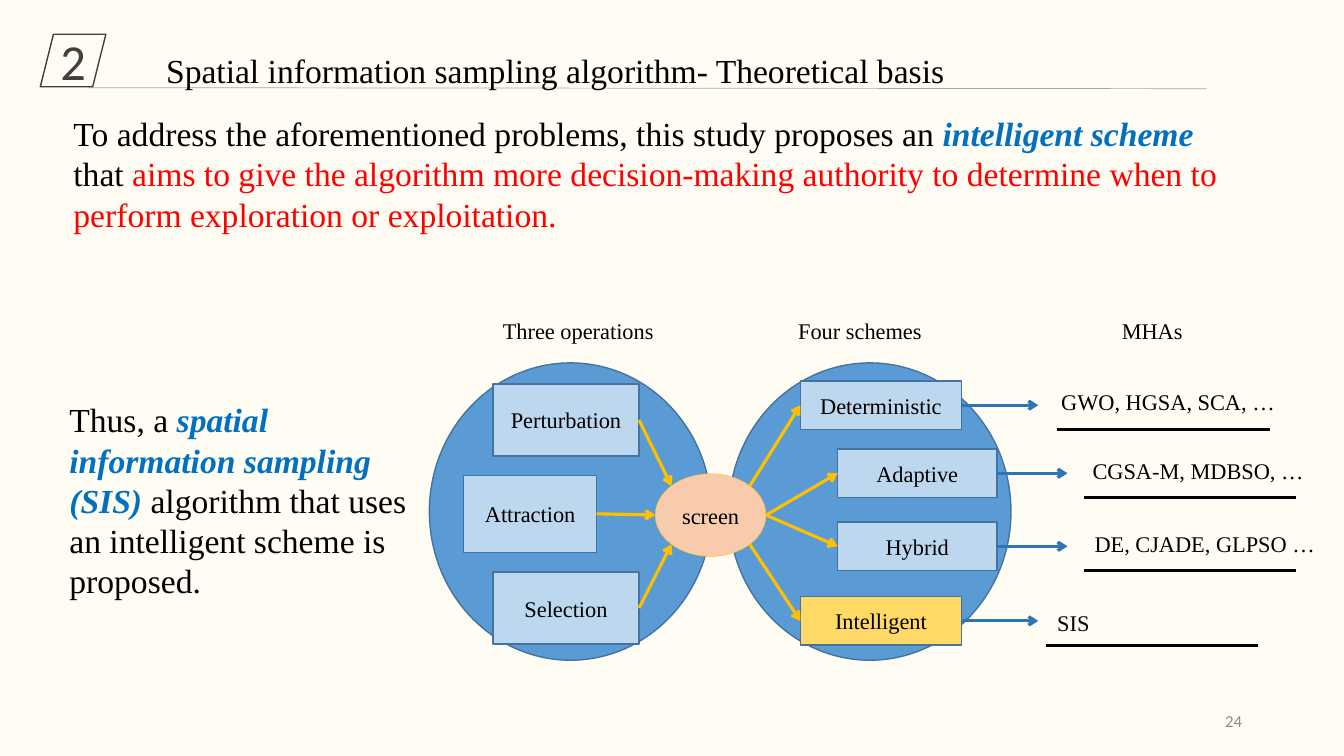
"""Build the slide on the theoretical basis of the spatial information sampling algorithm."""
from math import sqrt

from lxml.etree import SubElement
from pptx import Presentation
from pptx.dml.color import RGBColor
from pptx.enum.shapes import MSO_CONNECTOR, MSO_SHAPE
from pptx.enum.text import MSO_ANCHOR, PP_ALIGN
from pptx.oxml.ns import qn
from pptx.util import Inches, Pt

COLORS = {
    "page": "FFFCF4", "text": "000000", "term": "0070C0", "goal": "FF0000",
    "circle": "5B9BD5", "outline": "43739E", "box": "BDD7EE", "chosen": "FFD966",
    "screen": "F8CBAD", "flow": "FFC000", "result": "2E75B6",
    "badge": "404040", "rule": "A6A6A6", "number": "8C8C8C",
}
RGB = {role: RGBColor.from_string(code) for role, code in COLORS.items()}
SERIF, SANS = "Times New Roman", "Calibri"
CELL = Inches(0.1)
COLUMNS, ROWS = 133.33, 75

deck = Presentation()
deck.slide_width, deck.slide_height = int(COLUMNS * CELL), ROWS * CELL
slide = deck.slides.add_slide(deck.slide_layouts[6])
slide.background.fill.solid()
slide.background.fill.fore_color.rgb = RGB["page"]


def add_block(area, runs, kind=None, fill=None, outline="outline", weight=1,
              size=16, font=SERIF, color="text", wrap=True):
    """Add a shape, or a text box when kind is None; area is in grid cells."""
    place = [int(length * CELL) for length in area]
    if kind is None:
        block = slide.shapes.add_textbox(*place)
    else:
        block = slide.shapes.add_shape(kind, *place)
        block.shadow.inherit = False
        block.line.color.rgb = RGB[outline]
        block.line.width = Pt(weight)
        if fill:
            block.fill.solid()
            block.fill.fore_color.rgb = RGB[fill]
        else:
            block.fill.background()
    frame = block.text_frame
    frame.word_wrap = wrap
    frame.vertical_anchor = MSO_ANCHOR.TOP if kind is None else MSO_ANCHOR.MIDDLE
    paragraph = frame.paragraphs[0]
    paragraph.alignment = PP_ALIGN.LEFT if kind is None else PP_ALIGN.CENTER
    paragraph.font.size, paragraph.font.name = Pt(size), font
    paragraph.font.color.rgb = RGB[color]
    for wording, tone in runs:
        run = paragraph.add_run()
        run.text = wording
        if tone:
            run.font.color.rgb = RGB[tone]
        if tone == "term":
            run.font.bold = run.font.italic = True
    return block


def add_line(start, end, color, weight=2.25, arrow=False):
    """Add a straight line between two grid points."""
    points = [int(length * CELL) for length in (*start, *end)]
    line = slide.shapes.add_connector(MSO_CONNECTOR.STRAIGHT, *points)
    line.line.color.rgb = RGB[color]
    line.line.width = Pt(weight)
    if arrow:
        SubElement(line.line._get_or_add_ln(), qn("a:tailEnd"), type="arrow")
    SubElement(line._element.spPr, qn("a:effectLst"))
    return line


page_number = add_block((94.2, 69.5, 30, 4), [("24", None)], size=12, font=SANS, color="number")
page_number.text_frame.vertical_anchor = MSO_ANCHOR.MIDDLE
page_number.text_frame.paragraphs[0].alignment = PP_ALIGN.RIGHT

add_line((8.8, 8.7), (119.7, 8.8), "rule", weight=0.5)
section_badge = add_block((4, 3.4, 6.5, 5.2), [("2", None)], MSO_SHAPE.PARALLELOGRAM,
                          outline="badge", size=36, font=SANS, color="badge")
section_badge.text_frame.margin_left = section_badge.text_frame.margin_right = 0
title = add_block((15.5, 2.5, 100.6, 7.1),
                  [("Spatial information sampling algorithm- Theoretical basis", None)], size=24)
title.text_frame.paragraphs[0].line_spacing = 1.5

add_block((6.3, 10.7, 117.8, 13.1), [
    ("To address the aforementioned problems, this study proposes an ", None),
    ("intelligent scheme ", "term"),
    ("that ", None),
    ("aims to give the algorithm more decision-making authority to determine when to "
     "perform exploration or exploitation.", "goal"),
], size=24)
add_block((5.9, 39.1, 36, 21.2), [
    ("Thus, a ", None),
    ("spatial information sampling (SIS) ", "term"),
    ("algorithm that uses an intelligent scheme is proposed.", None),
], size=24)

for heading, left, width in [("Three operations", 48.9, 17.2), ("Four schemes", 78.2, 14.4),
                             ("MHAs", 110.3, 8.1)]:
    add_block((left, 31, width, 3.7), [(heading, None)], wrap=False)

for circle_left in (72.3, 42.6):
    add_block((circle_left, 36, 28, 29.5), [], MSO_SHAPE.OVAL, "circle")

screen_left, screen_top, screen_width, screen_height = screen_area = (65, 47, 11, 8.2)
add_block(screen_area, [("screen", None)], MSO_SHAPE.OVAL, "screen", "flow", 0.25)
center_x, center_y = screen_left + screen_width / 2, screen_top + screen_height / 2
diagonal_x, diagonal_y = screen_width / sqrt(8), screen_height / sqrt(8)

operations = [
    ("Perturbation", (48.9, 38.1, 14.5, 7.15), (center_x - diagonal_x, center_y - diagonal_y)),
    ("Attraction", (46, 47.15, 13.2, 7.65), (screen_left, center_y)),
    ("Selection", (48.9, 56.75, 14.5, 7.15), (center_x - diagonal_x, center_y + diagonal_y)),
]
for operation, area, entry in operations:
    operation_box = add_block(area, [(operation, None)], MSO_SHAPE.RECTANGLE, "box")
    add_line(entry, entry, "flow", arrow=True).begin_connect(operation_box, 3)

outer, inner = (79.4, 16, 103), (83.1, 15.8, 105.9)
upper_exit = (center_x + diagonal_x, center_y - diagonal_y)
lower_exit = (center_x + diagonal_x, center_y + diagonal_y)
side_exit = (screen_left + screen_width, center_y)
schemes = [
    ("Deterministic", 37.8, outer, "box", upper_exit, "GWO, HGSA, SCA, …", 104.3, 38, 23.4, 104.9),
    ("Adaptive", 44.55, inner, "box", side_exit, "CGSA-M, MDBSO, …", 107.4, 44.9, 23.2, 107.55),
    ("Hybrid", 51.8, inner, "box", side_exit, "DE, CJADE, GLPSO …", 107.6, 52.1, 24.1, 107.55),
    ("Intelligent", 59.2, outer, "chosen", lower_exit, "SIS", 103.9, 59.9, 5.3, 103.8),
]
box_height, underline_length = 4.8, 21.05
for (scheme, top, (left, width, arrow_end), fill, exit_point,
     examples, examples_left, examples_top, examples_width, underline_left) in schemes:
    scheme_box = add_block((left, top, width, box_height), [(scheme, None)],
                           MSO_SHAPE.RECTANGLE, fill)
    middle, bottom = top + box_height / 2, top + box_height
    add_line(exit_point, (left, middle), "flow", arrow=True).end_connect(scheme_box, 1)
    add_line((left + width, middle), (arrow_end, middle), "result",
             arrow=True).begin_connect(scheme_box, 3)
    add_line((underline_left, bottom), (underline_left + underline_length, bottom), "text")
    add_block((examples_left, examples_top, examples_width, 3.7), [(examples, None)], wrap=False)

deck.save("out.pptx")
